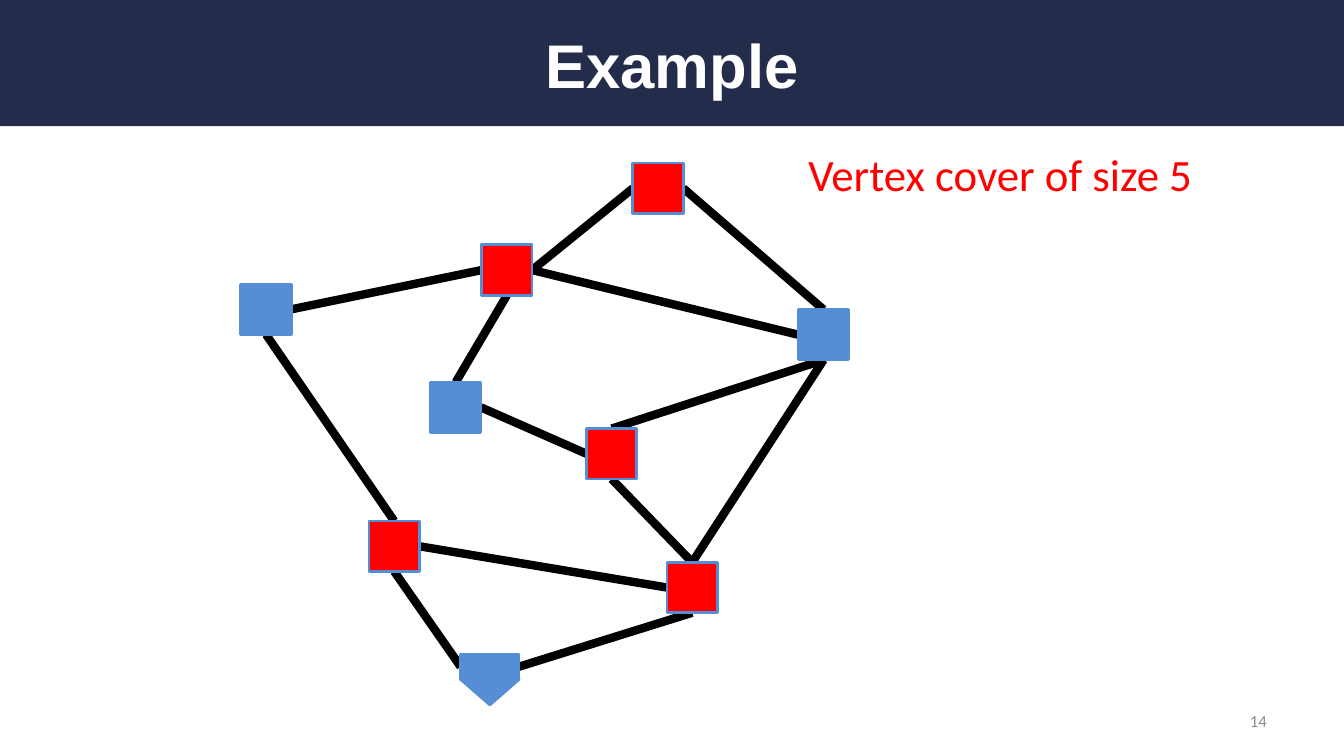
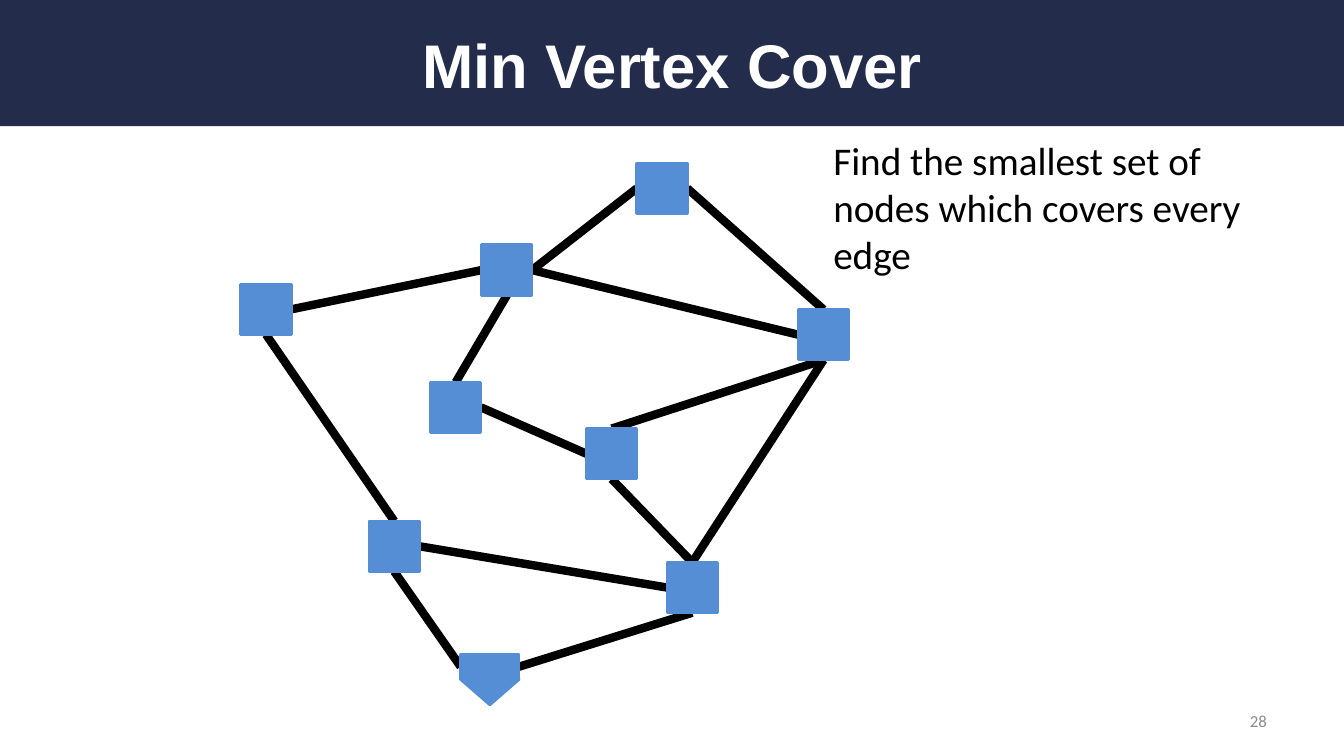
from dataclasses import dataclass

from lxml import etree
from pptx import Presentation
from pptx.dml.color import RGBColor
from pptx.enum.shapes import MSO_CONNECTOR, MSO_SHAPE
from pptx.enum.text import MSO_ANCHOR, PP_ALIGN
from pptx.oxml.ns import qn
from pptx.util import Cm, Pt

RECTANGLE = MSO_SHAPE.RECTANGLE
TRIANGLE = MSO_SHAPE.ISOSCELES_TRIANGLE
STRAIGHT = MSO_CONNECTOR.STRAIGHT
MIDDLE = MSO_ANCHOR.MIDDLE
TOP_ANCHOR = MSO_ANCHOR.TOP
LEFT_ALIGN, CENTER_ALIGN, RIGHT_ALIGN = PP_ALIGN.LEFT, PP_ALIGN.CENTER, PP_ALIGN.RIGHT
TITLE_ONLY = 5
TOP, LEFT, BOTTOM, RIGHT = range(4)


@dataclass(frozen=True)
class Theme:
    navy: RGBColor = RGBColor(0x23, 0x2D, 0x4B)
    white: RGBColor = RGBColor(0xFF, 0xFF, 0xFF)
    black: RGBColor = RGBColor(0, 0, 0)
    gray: RGBColor = RGBColor(0x8C, 0x8C, 0x8C)
    blue: RGBColor = RGBColor(0x55, 0x8E, 0xD5)
    red: RGBColor = RGBColor(0xFF, 0, 0)
    title_font: str = "Arial"
    body_font: str = "Calibri"
    title_size: Pt = Pt(44)
    cover_size: Pt = Pt(32)
    task_size: Pt = Pt(28)
    number_size: Pt = Pt(12)
    edge_width: Pt = Pt(6)
    outline_width: Pt = Pt(2)


NODE_SIZE = 1.27
SOUTH_BOX = (11.61, 16.48, 1.47, 0.64)
NODES = {
    "southwest": (9.3, 13.13),
    "southeast": (16.81, 14.17),
    "east": (20.12, 7.8),
    "inner west": (10.85, 9.63),
    "west": (6.07, 7.16),
    "northwest": (12.14, 6.17),
    "center": (14.78, 10.8),
    "north": (15.95, 4.11),
}
EDGES = [
    ("south", RIGHT, "southeast", BOTTOM),
    ("southwest", BOTTOM, "south", LEFT),
    ("southeast", LEFT, "southwest", RIGHT),
    ("west", BOTTOM, "southwest", TOP),
    ("west", RIGHT, "northwest", LEFT),
    ("northwest", RIGHT, "east", LEFT),
    ("northwest", BOTTOM, "inner west", TOP),
    ("inner west", RIGHT, "center", LEFT),
    ("east", BOTTOM, "center", TOP),
    ("northwest", RIGHT, "north", LEFT),
    ("east", TOP, "north", RIGHT),
    ("southeast", TOP, "center", BOTTOM),
    ("southeast", TOP, "east", BOTTOM),
]


class Deck:
    def __init__(self, theme):
        self.theme = theme
        self.presentation = Presentation()
        self.presentation.slide_width = Cm(33.87)
        self.presentation.slide_height = Cm(19.05)
        self.layout = self.presentation.slide_layouts[TITLE_ONLY]
        self.slide = None

    def add_slide(self, title, number):
        self.slide = self.presentation.slides.add_slide(self.layout)
        if len(self.presentation.slides) == 1:
            self.add_layout_band()
        theme = self.theme
        placeholder = self.slide.shapes.title
        placeholder.left, placeholder.top = Cm(1.7), Cm(0.43)
        placeholder.width, placeholder.height = Cm(30.48), Cm(2.34)
        self.set_text(placeholder, title, theme.title_size, theme.white,
                      CENTER_ALIGN, MIDDLE, theme.title_font, True)
        self.add_text((24.28, 17.65, 7.9, 1.02), str(number), theme.number_size,
                      theme.gray, RIGHT_ALIGN, MIDDLE)

    def add_layout_band(self):
        band = self.add_shape(RECTANGLE, (0, 0, 33.87, 3.18), self.theme.navy)
        self.layout.shapes._spTree.insert(2, band._element)

    def set_text(self, shape, text, size, color, alignment, anchor, font_name, bold=False):
        frame = shape.text_frame
        frame.word_wrap = True
        frame.vertical_anchor = anchor
        paragraph = frame.paragraphs[0]
        paragraph.text = text
        paragraph.alignment = alignment
        font = paragraph.font
        font.name, font.size, font.bold = font_name, size, bold
        font.color.rgb = color

    def add_text(self, box, text, size, color, alignment=LEFT_ALIGN, anchor=TOP_ANCHOR):
        shape = self.slide.shapes.add_textbox(*map(Cm, box))
        self.set_text(shape, text, size, color, alignment, anchor, self.theme.body_font)

    def add_shape(self, kind, box, fill, outline=None):
        shape = self.slide.shapes.add_shape(kind, *map(Cm, box))
        shape.shadow.inherit = False
        shape.fill.solid()
        shape.fill.fore_color.rgb = fill
        if outline is None:
            shape.line.fill.background()
        else:
            shape.line.color.rgb = outline
            shape.line.width = self.theme.outline_width
        return shape

    def add_edge(self, start, start_side, end, end_side):
        shapes = self.slide.shapes
        connector = shapes.add_connector(STRAIGHT, 0, 0, 0, 0)
        connector.begin_connect(start, start_side)
        connector.end_connect(end, end_side)
        connector.line.color.rgb = self.theme.black
        connector.line.width = self.theme.edge_width
        etree.SubElement(connector._element.spPr, qn("a:effectLst"))
        shapes._spTree.insert(2, connector._element)

    def add_graph(self, cover=(), north_shift=0):
        blue, red = self.theme.blue, self.theme.red
        left, top, width, height = SOUTH_BOX
        tip = self.add_shape(TRIANGLE, (left, top + height, width, height), blue, blue)
        tip.rotation = 180
        nodes = {"south": self.add_shape(RECTANGLE, SOUTH_BOX, blue, blue)}
        for name, (left, top) in NODES.items():
            if name == "north":
                left += north_shift
            fill = red if name in cover else blue
            box = (left, top, NODE_SIZE, NODE_SIZE)
            nodes[name] = self.add_shape(RECTANGLE, box, fill, blue)
        for start, start_side, end, end_side in EDGES:
            self.add_edge(nodes[start], start_side, nodes[end], end_side)


def main():
    theme = Theme()
    deck = Deck(theme)

    deck.add_slide("Example", 14)
    deck.add_graph(cover=("southwest", "southeast", "northwest", "center", "north"))
    deck.add_text((20.12, 3.58, 11.23, 1.63), "Vertex cover of size 5",
                  theme.cover_size, theme.red)

    deck.add_slide("Min Vertex Cover", 28)
    deck.add_graph(north_shift=0.1)
    deck.add_text((20.75, 3.3, 11.23, 3.84),
                  "Find the smallest set of nodes which covers every edge",
                  theme.task_size, theme.black)

    deck.presentation.save("out.pptx")


if __name__ == "__main__":
    main()
